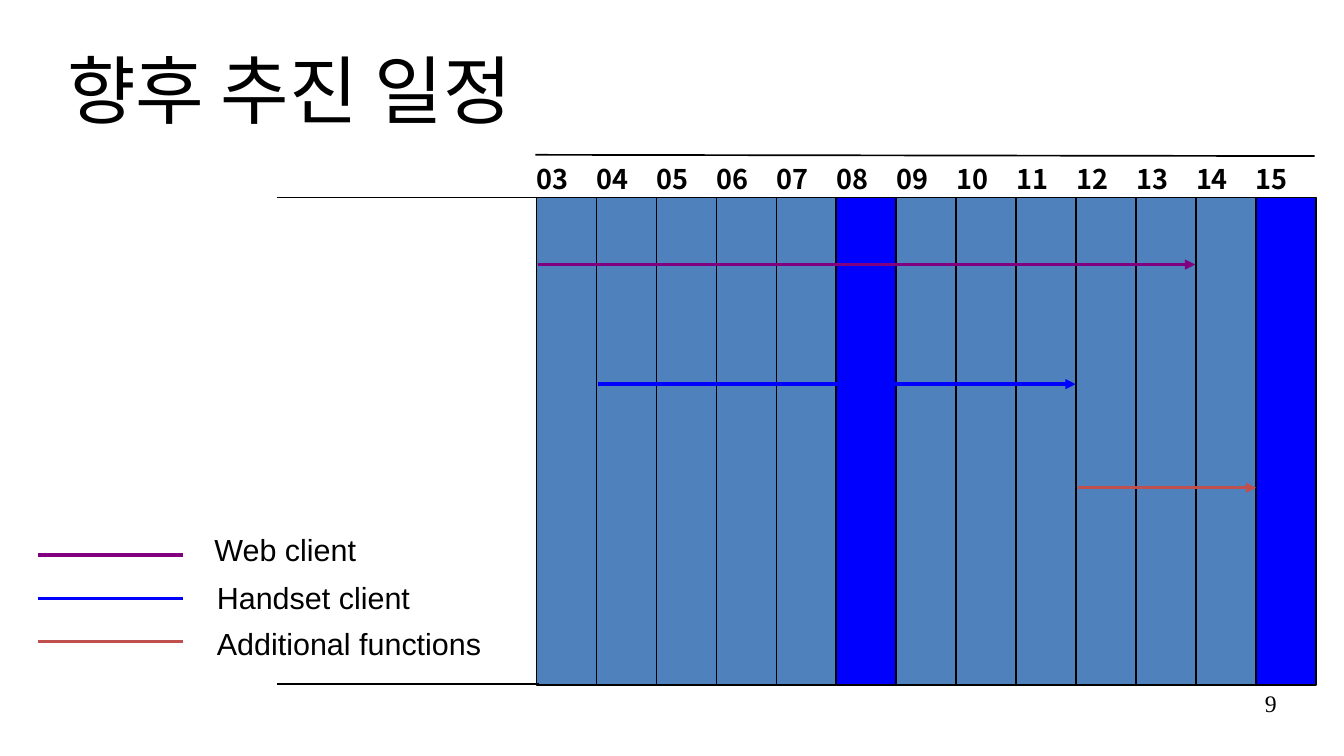
from lxml.etree import SubElement
from pptx import Presentation
from pptx.dml.color import RGBColor
from pptx.enum.shapes import MSO_CONNECTOR as CONN, MSO_SHAPE as SHAPE
from pptx.enum.text import MSO_ANCHOR as ANCHOR, MSO_AUTO_SIZE as AUTO, PP_ALIGN as ALIGN
from pptx.oxml.ns import qn
from pptx.util import Inches, Pt

KOREAN = "Noto Sans CJK KR"
BLACK, STEEL, BLUE, PURPLE, RED = "000000", "4F81BD", "0000FF", "800080", "C0504D"
FIRST_WEEK, LAST_WEEK = 3, 15
MILESTONE_WEEKS = (8, 15)
GRID_LEFT, GRID_RIGHT, GRID_TOP, GRID_HEIGHT = 4.4, 10.79, 1.62, 4
WEEK_WIDTH = (GRID_RIGHT - GRID_LEFT) / (LAST_WEEK - FIRST_WEEK + 1)

# label, colour, legend line y, label left, label top, arrow start, arrow end, arrow y
TASKS = [
    ("Web client", PURPLE, 4.55, 1.66, 4.31, 4.41, 9.8, 2.17),
    ("Handset client", BLUE, 4.91, 1.68, 4.7, 4.9, 8.82, 3.15),
    ("Additional functions", RED, 5.26, 1.68, 5.08, 8.84, 10.3, 4),
]


def color(value):
    return RGBColor.from_string(value)


def write(tf, text, size, font, bold=False, align=ALIGN.LEFT):
    p = tf.paragraphs[0]
    p.alignment = align
    r = p.add_run()
    r.text = text
    for name, value in dict(size=Pt(size), name=font, bold=bold).items():
        setattr(r.font, name, value)
    r.font.color.rgb = color(BLACK)
    SubElement(r.font._element, qn("a:ea")).set("typeface", font)
    return p


def clear_margins(tf):
    for side in ("left", "top", "right", "bottom"):
        setattr(tf, f"margin_{side}", 0)


def add_text(s, box, text, size, font, inset=False, wrap=True, auto=AUTO.SHAPE_TO_FIT_TEXT, **style):
    tf = s.shapes.add_textbox(*map(Inches, box)).text_frame
    if not inset:
        clear_margins(tf)
    tf.word_wrap = wrap
    tf.auto_size = auto
    write(tf, text, size, font, **style)


def add_line(s, start, end, line_color=BLACK, width=1, arrow=False):
    line = s.shapes.add_connector(CONN.STRAIGHT, *map(Inches, (*start, *end)))
    line.line.color.rgb = color(line_color)
    line.line.width = Pt(width)
    if arrow:
        SubElement(line.line._get_or_add_ln(), qn("a:tailEnd")).set("type", "triangle")
    SubElement(line._element.spPr, qn("a:effectLst"))


def add_title(s, text):
    title = s.shapes.title
    box = dict(left=0.55, top=0.25, width=9.92, height=1.04)
    for name, value in box.items():
        setattr(title, name, Inches(value))
    tf = title.text_frame
    clear_margins(tf)
    tf.vertical_anchor = ANCHOR.MIDDLE
    write(tf, text, 44, KOREAN).line_spacing = 0.9


def add_week(s, week):
    left = GRID_LEFT + (week - FIRST_WEEK) * WEEK_WIDTH
    bar = s.shapes.add_shape(
        SHAPE.RECTANGLE, *map(Inches, (left, GRID_TOP, WEEK_WIDTH, GRID_HEIGHT)))
    bar.shadow.inherit = False
    bar.fill.solid()
    bar.fill.fore_color.rgb = color(BLUE if week in MILESTONE_WEEKS else STEEL)
    bar.line.color.rgb = color(BLACK)
    bar.line.width = Pt(1)
    add_text(s, (left, 1.33, 0.38, 0.27), f"{week:02}", 16, KOREAN, bold=True)


def add_task(s, label, task_color, legend_y, label_left, label_top, start, end, y):
    add_line(s, (0.31, legend_y), (1.5, legend_y), task_color, 2)
    add_text(s, (label_left, label_top, 2.46, 0.4), label, 18, "Arial", inset=True, wrap=False)
    add_line(s, (start, y), (end, y), task_color, 2, arrow=True)


def main():
    prs = Presentation()
    prs.slide_width, prs.slide_height = Inches(11.02), Inches(6.2)
    s = prs.slides.add_slide(prs.slide_layouts[5])
    add_title(s, "향후 추진 일정")
    add_line(s, (4.39, 1.27), (10.78, 1.28))
    for week in range(FIRST_WEEK, LAST_WEEK + 1):
        add_week(s, week)
    for y in (1.62, 5.61):
        add_line(s, (2.27, y), (4.42, y))
    for task in TASKS:
        add_task(s, *task)
    add_text(s, (7.9, 5.65, 2.57, 0.43), "9", 14, "Times New Roman",
             auto=AUTO.NONE, align=ALIGN.RIGHT)
    prs.save("out.pptx")


if __name__ == "__main__":
    main()
